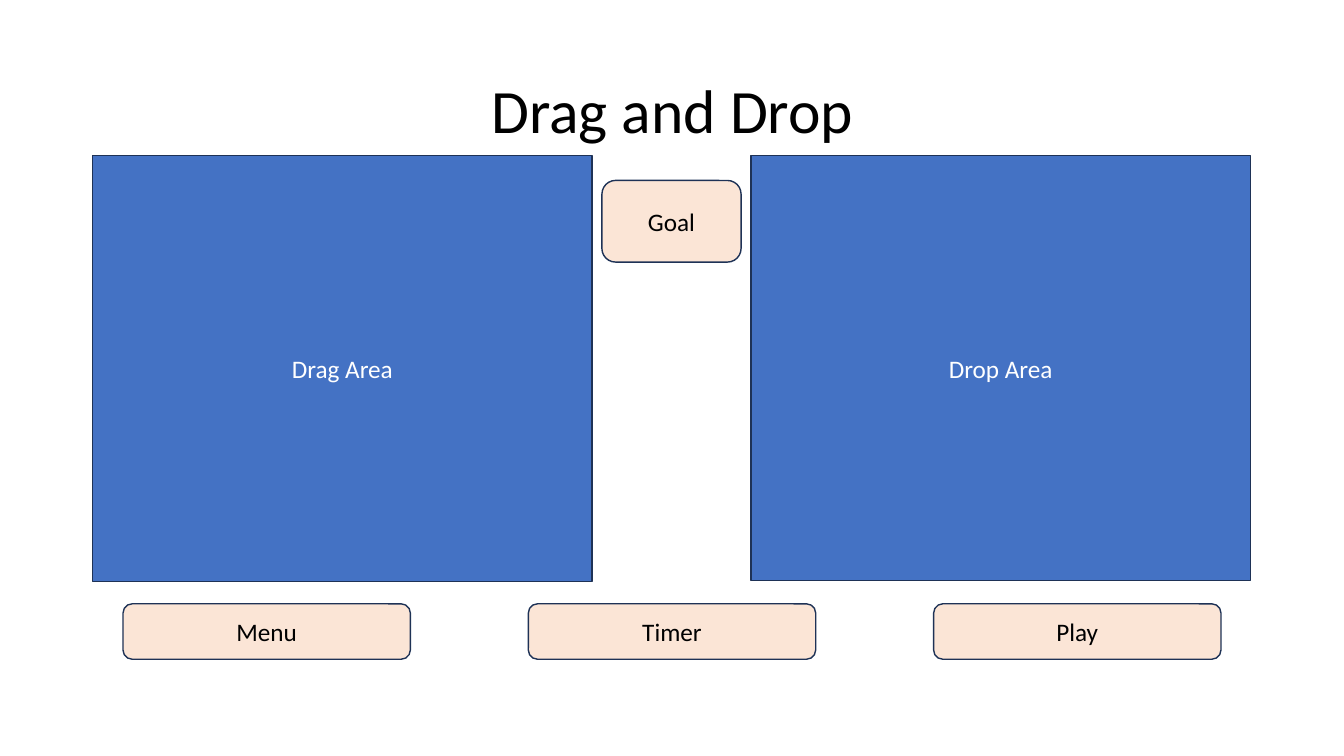
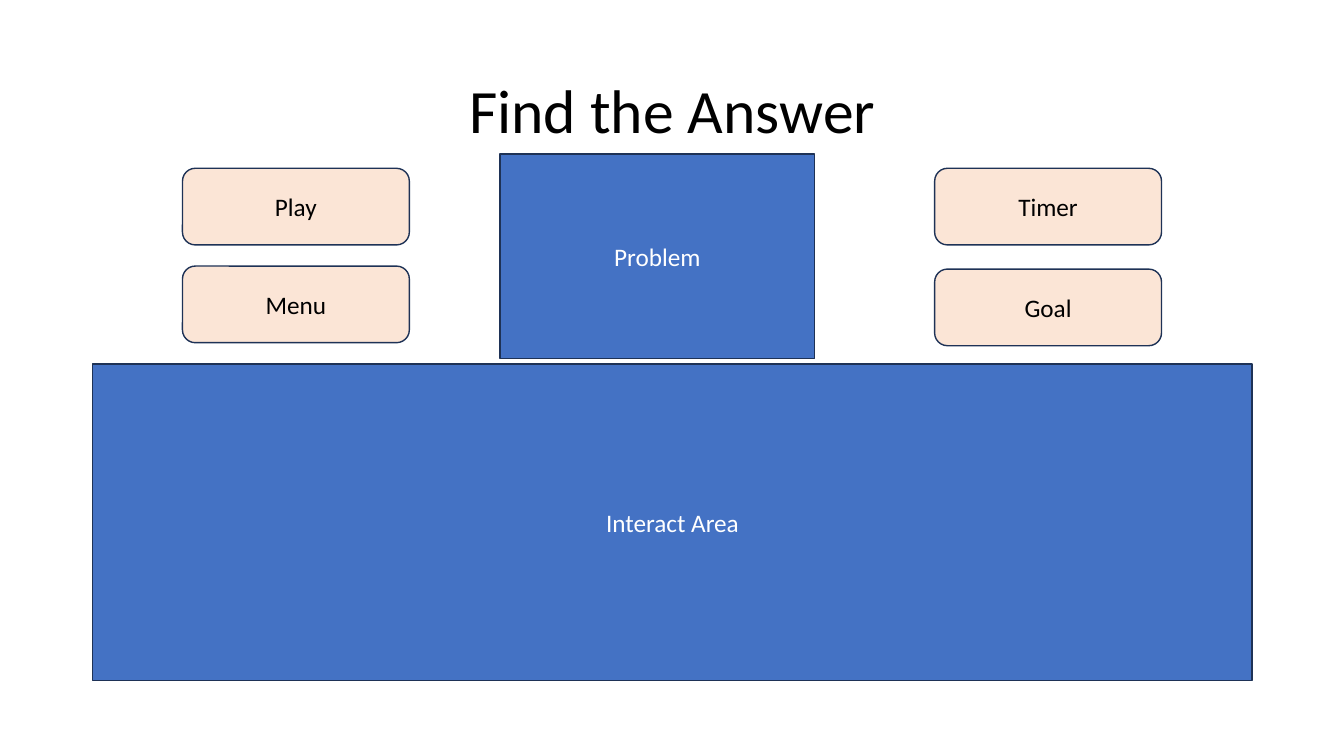
from dataclasses import dataclass

from pptx import Presentation
from pptx.dml.color import RGBColor
from pptx.enum.shapes import MSO_SHAPE
from pptx.enum.text import MSO_ANCHOR, PP_ALIGN
from pptx.presentation import Presentation as Deck
from pptx.slide import Slide
from pptx.text.text import TextFrame
from pptx.util import Inches, Pt

RECTANGLE = MSO_SHAPE.RECTANGLE
ROUNDED = MSO_SHAPE.ROUNDED_RECTANGLE
MIDDLE = MSO_ANCHOR.MIDDLE
CENTER = PP_ALIGN.CENTER
BLANK_LAYOUT = 6


@dataclass(frozen=True)
class Theme:
    font: str = "Calibri"
    title_size: float = 44
    label_size: float = 18
    line_width: float = 1
    text: RGBColor = RGBColor(0x00, 0x00, 0x00)
    area_text: RGBColor = RGBColor(0xFF, 0xFF, 0xFF)
    area_fill: RGBColor = RGBColor(0x44, 0x72, 0xC4)
    button_fill: RGBColor = RGBColor(0xFB, 0xE5, 0xD6)
    outline: RGBColor = RGBColor(0x1E, 0x32, 0x56)


@dataclass(frozen=True)
class Box:
    label: str
    left: float
    top: float
    width: float
    height: float


@dataclass(frozen=True)
class Screen:
    title: str
    areas: list[Box]
    buttons: list[Box]


THEME = Theme()
MARGIN = 0.92
CONTENT_WIDTH = 11.5

BAR_LEFT, BAR_PITCH = 1.22, 4.02
LEFT_COLUMN, RIGHT_COLUMN = 1.81, 9.27
BUTTON_SIZE = (2.25, 0.76)

SCREENS = [
    Screen(
        "Drag and Drop",
        areas=[
            Box("Drag Area", MARGIN, 1.54, 4.95, 4.23),
            Box("Drop Area", 7.45, 1.54, 4.95, 4.22),
        ],
        buttons=[
            Box("Goal", 5.97, 1.79, 1.38, 0.81),
            *(
                Box(label, BAR_LEFT + column * BAR_PITCH, 5.99, 2.85, 0.55)
                for column, label in enumerate(("Menu", "Timer", "Play"))
            ),
        ],
    ),
    Screen(
        "Find the Answer",
        areas=[
            Box("Interact Area", MARGIN, 3.61, CONTENT_WIDTH, 3.14),
            Box("Problem", 4.96, 1.53, 3.12, 2.03),
        ],
        buttons=[
            Box("Menu", LEFT_COLUMN, 2.64, *BUTTON_SIZE),
            Box("Play", LEFT_COLUMN, 1.67, *BUTTON_SIZE),
            Box("Timer", RIGHT_COLUMN, 1.67, *BUTTON_SIZE),
            Box("Goal", RIGHT_COLUMN, 2.67, *BUTTON_SIZE),
        ],
    ),
]


def write_centred(frame: TextFrame, text: str, size: float, color: RGBColor) -> None:
    frame.word_wrap = True
    frame.vertical_anchor = MIDDLE
    paragraph = frame.paragraphs[0]
    paragraph.text = text
    paragraph.alignment = CENTER
    paragraph.font.name = THEME.font
    paragraph.font.size = Pt(size)
    paragraph.font.color.rgb = color


def add_title(slide: Slide, text: str) -> None:
    title = slide.shapes.add_textbox(
        Inches(MARGIN), Inches(0.4), Inches(CONTENT_WIDTH), Inches(1.45)
    )
    write_centred(title.text_frame, text, THEME.title_size, THEME.text)
    title.text_frame.paragraphs[0].line_spacing = 0.9


def add_box(
    slide: Slide, box: Box, outline: MSO_SHAPE, fill: RGBColor, text_color: RGBColor
) -> None:
    panel = slide.shapes.add_shape(
        outline,
        Inches(box.left),
        Inches(box.top),
        Inches(box.width),
        Inches(box.height),
    )
    panel.shadow.inherit = False
    panel.fill.solid()
    panel.fill.fore_color.rgb = fill
    panel.line.color.rgb = THEME.outline
    panel.line.width = Pt(THEME.line_width)
    write_centred(panel.text_frame, box.label, THEME.label_size, text_color)


def add_screen(deck: Deck, screen: Screen) -> None:
    slide = deck.slides.add_slide(deck.slide_layouts[BLANK_LAYOUT])
    add_title(slide, screen.title)
    for area in screen.areas:
        add_box(slide, area, RECTANGLE, THEME.area_fill, THEME.area_text)
    for button in screen.buttons:
        add_box(slide, button, ROUNDED, THEME.button_fill, THEME.text)


def main() -> None:
    deck = Presentation()
    deck.slide_width = Inches(13.33)
    deck.slide_height = Inches(7.5)
    for screen in SCREENS:
        add_screen(deck, screen)
    deck.save("out.pptx")


if __name__ == "__main__":
    main()
